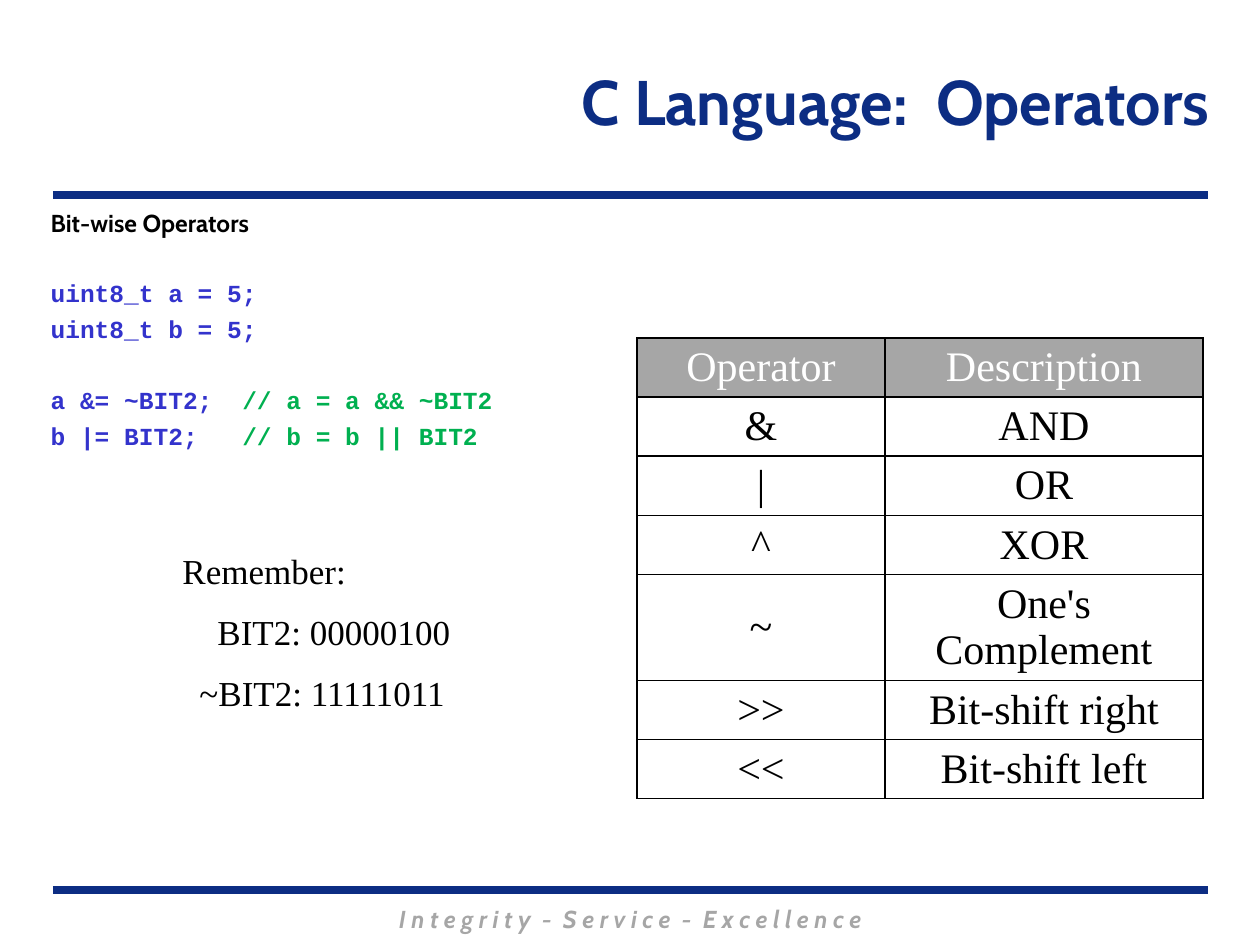
from lxml.etree import SubElement
from pptx import Presentation
from pptx.dml.color import RGBColor
from pptx.enum.shapes import MSO_CONNECTOR
from pptx.enum.text import MSO_ANCHOR, MSO_AUTO_SIZE, PP_ALIGN
from pptx.oxml.ns import qn
from pptx.util import Pt

EMU_PER_PX = 914400 / 126


def px(length):
    """Turn whole pixels into EMU."""
    return round(length * EMU_PER_PX)


def color(hex_code):
    """Turn a hex string into a colour."""
    return RGBColor.from_string(hex_code)


def write(paragraph, text, font="Times New Roman", size=20, fill="000000", bold=False,
          italic=False, align=PP_ALIGN.LEFT, before=0, indent=0):
    """Fill a paragraph with a string, or with (string, colour) runs."""
    properties = paragraph._p.get_or_add_pPr()
    properties.set("marL", str(px(indent)))
    properties.set("indent", "0")
    SubElement(properties, qn("a:buNone"))
    paragraph.alignment = align
    paragraph.space_before = Pt(before)
    for words, run_fill in [(text, fill)] if isinstance(text, str) else text:
        run = paragraph.add_run()
        run.text = words
        run.font.name = font
        run.font.size = Pt(size)
        run.font.bold = bold
        run.font.italic = italic
        run.font.color.rgb = color(run_fill)


class OperatorSlide:
    """Hold the style and the current slide."""

    navy, gray, black, white = "0C2D83", "A6A6A6", "000000", "FFFFFF"
    code, comment = "3333CC", "00B050"
    heading_font, code_font = "Cabin", "Courier New"

    def __init__(self, presentation):
        """Add a title and content slide."""
        self.slide = presentation.slides.add_slide(presentation.slide_layouts[1])

    def fill_frame(self, shape, lines, anchor, wrap=True):
        """Write (text, format) lines into a shape."""
        frame = shape.text_frame
        frame.auto_size = MSO_AUTO_SIZE.NONE
        frame.word_wrap = wrap
        frame.vertical_anchor = anchor
        for index, (text, style) in enumerate(lines):
            paragraph = frame.add_paragraph() if index else frame.paragraphs[0]
            write(paragraph, text, **style)

    def placeholder(self, index, left, top, width, height, lines, anchor=MSO_ANCHOR.TOP):
        """Move a template placeholder and fill it."""
        holder = self.slide.placeholders[index]
        holder.left, holder.top = px(left), px(top)
        holder.width, holder.height = px(width), px(height)
        self.fill_frame(holder, lines, anchor)

    def text_box(self, left, top, width, height, lines, anchor=MSO_ANCHOR.TOP, wrap=True):
        """Add a text box."""
        box = self.slide.shapes.add_textbox(px(left), px(top), px(width), px(height))
        self.fill_frame(box, lines, anchor, wrap)

    def rule(self, left, right, y):
        """Draw a horizontal rule."""
        line = self.slide.shapes.add_connector(
            MSO_CONNECTOR.STRAIGHT, px(left), px(y), px(right), px(y))
        line.line.color.rgb = color(self.navy)
        line.line.width = Pt(4.5)
        SubElement(line._element.spPr, qn("a:effectLst"))

    def border(self, cell):
        """Draw a thin black border on every side of a cell."""
        properties = cell._tc.get_or_add_tcPr()
        for position, side in enumerate(("lnL", "lnR", "lnT", "lnB")):
            edge = properties.makeelement(qn(f"a:{side}"), {"w": str(Pt(1))})
            properties.insert(position, edge)
            solid = SubElement(edge, qn("a:solidFill"))
            SubElement(solid, qn("a:srgbClr"), val=self.black)

    def table(self, left, top, widths, heights, rows):
        """Add a bordered table with a gray header row."""
        grid = self.slide.shapes.add_table(
            len(rows), len(widths), px(left), px(top), px(sum(widths)), px(sum(heights))).table
        grid.first_row = grid.horz_banding = False
        for column, width in zip(grid.columns, widths):
            column.width = px(width)
        for r, (row, height) in enumerate(zip(rows, heights)):
            grid.rows[r].height = px(height)
            for c, text in enumerate(row):
                cell = grid.cell(r, c)
                cell.vertical_anchor = MSO_ANCHOR.MIDDLE
                if r == 0:
                    cell.fill.solid()
                    cell.fill.fore_color.rgb = color(self.gray)
                else:
                    cell.fill.background()
                self.border(cell)
                write(cell.text_frame.paragraphs[0], text, size=24, align=PP_ALIGN.CENTER,
                      fill=self.black if r else self.white)


def main():
    """Build the slide and save it."""
    presentation = Presentation()
    presentation.slide_width, presentation.slide_height = px(1260), px(945)
    page = OperatorSlide(presentation)

    for y in (890, 195):
        page.rule(53, 1208, y)
    motto = dict(font=page.heading_font, size=14, fill=page.gray, bold=True, italic=True,
                 align=PP_ALIGN.CENTER)
    page.text_box(179, 898, 903, 43, [
        ("I n t e g r i t y  -  S e r v i c e  -  E x c e l l e n c e", motto)])

    title = dict(font=page.heading_font, size=36, fill=page.navy, bold=True,
                 align=PP_ALIGN.RIGHT)
    page.placeholder(0, 252, 25, 970, 151, [("C Language:  Operators", title)],
                     MSO_ANCHOR.MIDDLE)

    topic = dict(font=page.heading_font, size=14, bold=True)
    code = dict(font=page.code_font, size=14, fill=page.code, bold=True, before=3.7)
    new_block = {**code, "before": 23.3}
    page.placeholder(1, 38, 202, 1222, 694, [
        ("Bit-wise Operators", topic),
        ("uint8_t a = 5;", new_block),
        ("uint8_t b = 5;", code),
        ([("a &= ~BIT2;  ", page.code), ("// a = a && ~BIT2", page.comment)], new_block),
        ([("b |= BIT2;   ", page.code), ("// b = b || BIT2", page.comment)], code),
    ])

    operators = [
        ("Operator", "Description"),
        ("&", "AND"),
        ("|", "OR"),
        ("^", "XOR"),
        ("~", "One's Complement"),
        (">>", "Bit-shift right"),
        ("<<", "Bit-shift left"),
    ]
    heights = [106 if symbol == "~" else 59 for symbol, _ in operators]
    page.table(637, 338, (248, 318), heights, operators)

    page.text_box(170, 540, 295, 183, [
        ("Remember:", {}),
        ("BIT2: 00000100", dict(before=11, indent=35)),
        ("~BIT2: 11111011", dict(before=11, indent=17)),
    ], MSO_ANCHOR.MIDDLE, wrap=False)

    presentation.save("out.pptx")


if __name__ == "__main__":
    main()
